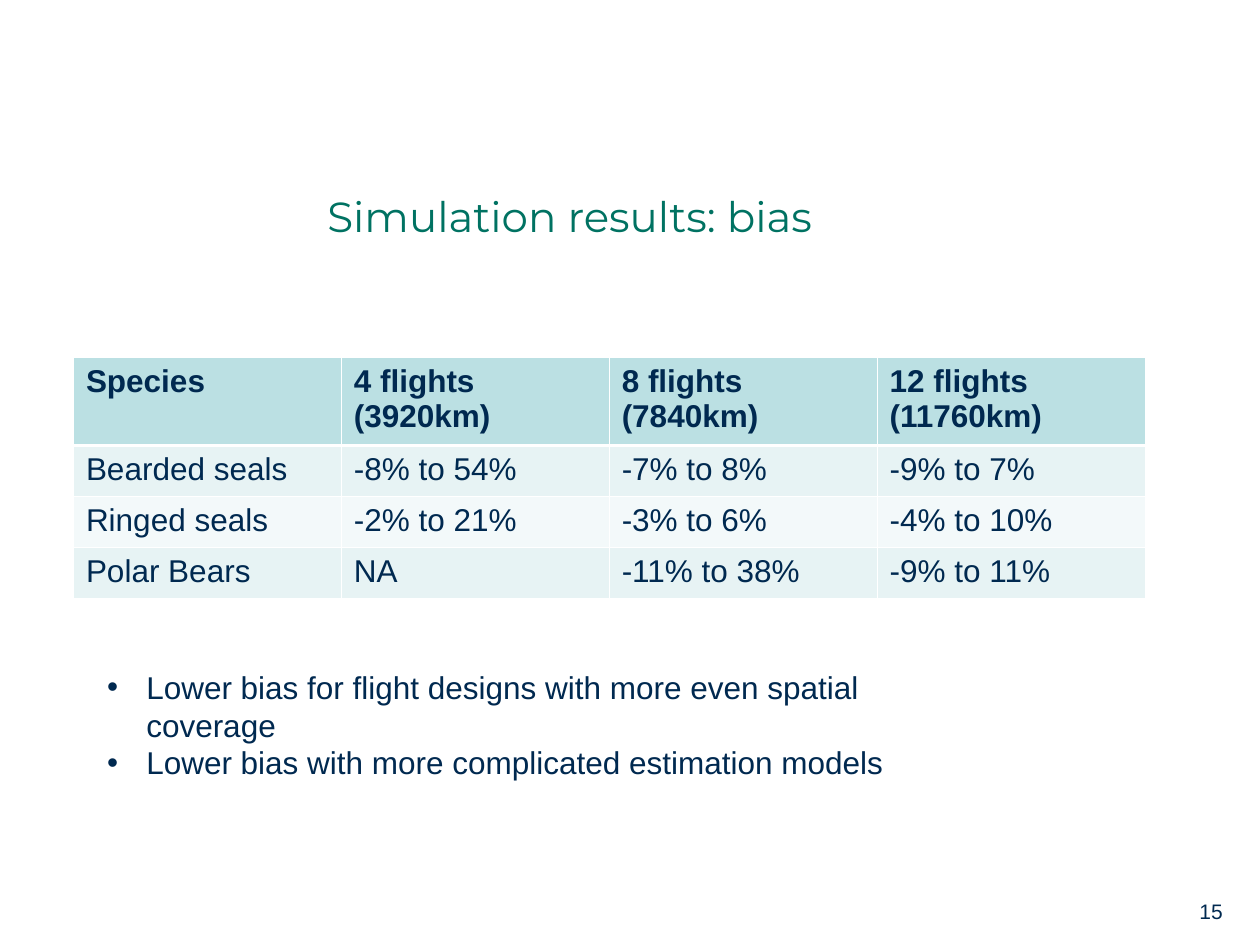
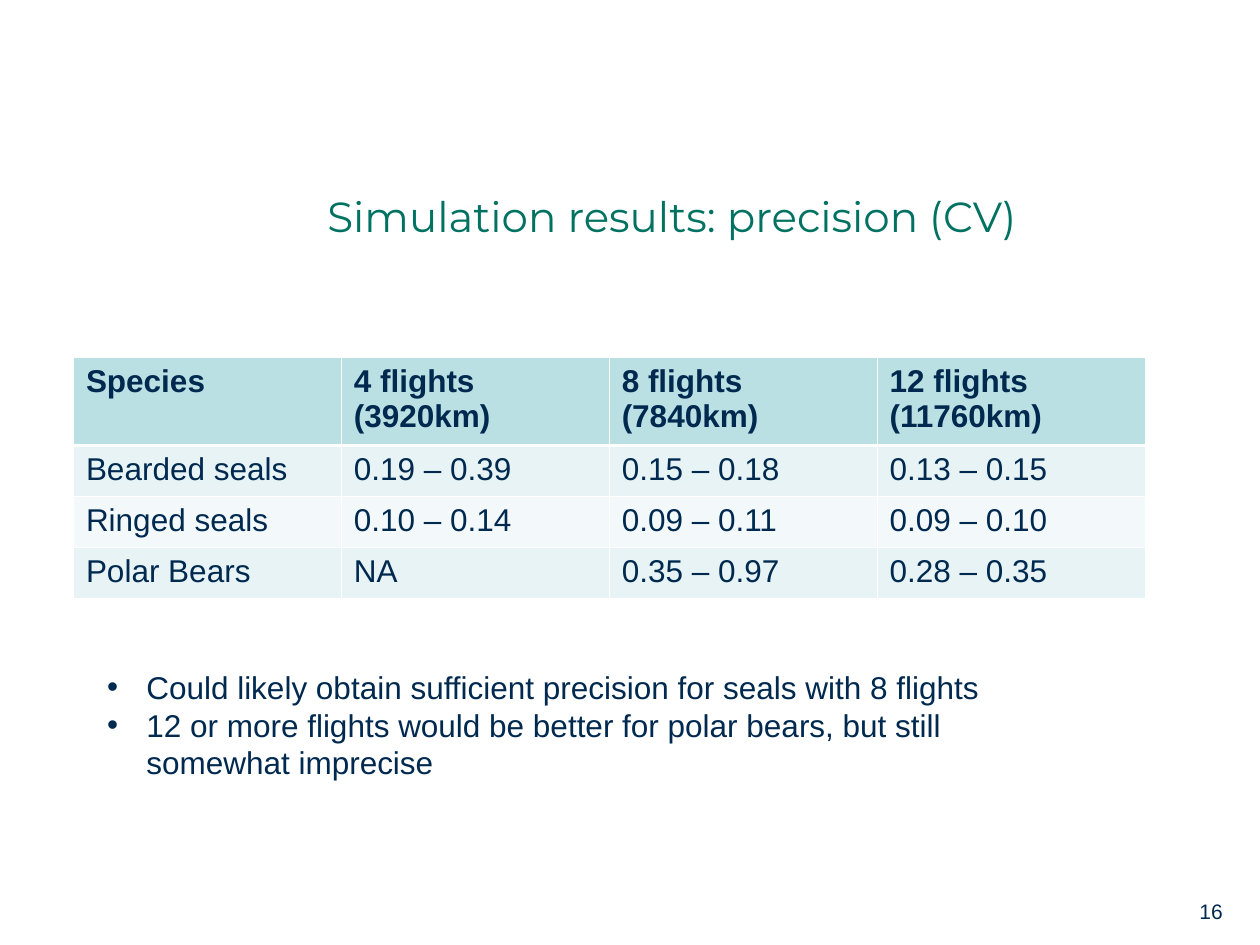
from lxml.etree import SubElement
from pptx import Presentation
from pptx.dml.color import RGBColor
from pptx.enum.text import MSO_ANCHOR, MSO_AUTO_SIZE
from pptx.oxml.ns import qn
from pptx.util import Cm, Pt

NAVY = RGBColor(0x00, 0x29, 0x50)
GREEN = RGBColor(0x00, 0x72, 0x62)
HEADER = RGBColor(0xBB, 0xE0, 0xE3)
BAND_DARK = RGBColor(0xE7, 0xF3, 0xF4)
BAND_LIGHT = RGBColor(0xF3, 0xF9, 0xFA)
WHITE = RGBColor(0xFF, 0xFF, 0xFF)
THIN, THICK = Pt(0.45), Pt(1.47)
BODY_FONT, TITLE_FONT = "Arial", "Montserrat"

FLIGHTS = ["Species", "4 flights (3920km)", "8 flights (7840km)",
           "12 flights\n(11760km)"]


class Deck:
    def __init__(self):
        self.prs = Presentation()
        self.prs.slide_width, self.prs.slide_height = Cm(25.4), Cm(19.05)

    def new_slide(self):
        self.s = self.prs.slides.add_slide(self.prs.slide_layouts[6])

    def run(self, p, text, size=18, color=NAVY, font=BODY_FONT, bold=False):
        r = p.add_run()
        r.text = text
        r.font.size, r.font.name, r.font.bold = Pt(size), font, bold
        r.font.color.rgb = color

    def paragraphs(self, tf, texts, **style):
        for i, text in enumerate(texts):
            p = tf.add_paragraph() if i else tf.paragraphs[0]
            self.run(p, text, **style)

    def box(self, left, top, width, height):
        sp = self.s.shapes.add_textbox(Cm(left), Cm(top), Cm(width), Cm(height))
        tf = sp.text_frame
        tf.word_wrap = True
        return tf

    def title(self, text):
        tf = self.box(6.35, 3.18, 16.72, 2.33)
        tf.vertical_anchor = MSO_ANCHOR.MIDDLE
        self.paragraphs(tf, [text], size=24, color=GREEN, font=TITLE_FONT)

    def page_number(self, number):
        tf = self.box(23.93, 17.99, 2.12, 0.76)
        tf.auto_size = MSO_AUTO_SIZE.SHAPE_TO_FIT_TEXT
        tf.paragraphs[0].space_before = Pt(7.5)
        self.paragraphs(tf, [str(number)], size=12)

    def bullets(self, texts):
        tf = self.box(1.91, 13.34, 18.42, 2.54)
        tf.auto_size = MSO_AUTO_SIZE.SHAPE_TO_FIT_TEXT
        self.paragraphs(tf, texts)
        for p in tf.paragraphs:
            pPr = p._p.get_or_add_pPr()
            pPr.set("marL", str(Cm(0.79)))
            pPr.set("indent", str(-Cm(0.79)))
            clr = SubElement(pPr, qn("a:buClr"))
            SubElement(clr, qn("a:srgbClr"), val=str(NAVY))
            SubElement(pPr, qn("a:buFont"), typeface=BODY_FONT)
            SubElement(pPr, qn("a:buChar"), char="•")

    def borders(self, cell, top, bottom):
        tcPr = cell._tc.get_or_add_tcPr()
        for side, width in zip("LRTB", (THIN, THIN, top, bottom)):
            ln = SubElement(tcPr, qn(f"a:ln{side}"), w=str(width))
            fill = SubElement(ln, qn("a:solidFill"))
            SubElement(fill, qn("a:srgbClr"), val=str(WHITE))

    def table(self, rows):
        table = self.s.shapes.add_table(
            len(rows), len(rows[0]), Cm(1.48), Cm(7.2), Cm(21.6), Cm(4.87)).table
        for col in table.columns:
            col.width = Cm(5.4)
        for i, texts in enumerate(rows):
            table.rows[i].height = Cm(1.03 if i else 1.78)
            color = (BAND_DARK if i % 2 else BAND_LIGHT) if i else HEADER
            for j, text in enumerate(texts):
                cell = table.cell(i, j)
                self.borders(cell, THICK if i == 1 else THIN,
                             THIN if i else THICK)
                cell.fill.solid()
                cell.fill.fore_color.rgb = color
                self.paragraphs(cell.text_frame, text.split("\n"), bold=i == 0)


SLIDES = [
    ("Simulation results: bias",
     [["Bearded seals", "-8% to 54%", "-7% to 8%", "-9% to 7%"],
      ["Ringed seals", "-2% to 21%", "-3% to 6%", "-4% to 10%"],
      ["Polar Bears", "NA", "-11% to 38%", "-9% to 11%"]],
     ["Lower bias for flight designs with more even spatial coverage",
      "Lower bias with more complicated estimation models"]),
    ("Simulation results: precision (CV)",
     [["Bearded seals", "0.19 – 0.39", "0.15 – 0.18", "0.13 – 0.15"],
      ["Ringed seals", "0.10 – 0.14", "0.09 – 0.11", "0.09 – 0.10"],
      ["Polar Bears", "NA", "0.35 – 0.97", "0.28 – 0.35"]],
     ["Could likely obtain sufficient precision for seals with 8 flights",
      "12 or more flights would be better for polar bears, "
      "but still somewhat imprecise"]),
]

deck = Deck()
for number, (title, results, findings) in enumerate(SLIDES, start=15):
    deck.new_slide()
    deck.page_number(number)
    deck.title(title)
    deck.table([FLIGHTS] + results)
    deck.bullets(findings)
deck.prs.save("out.pptx")
